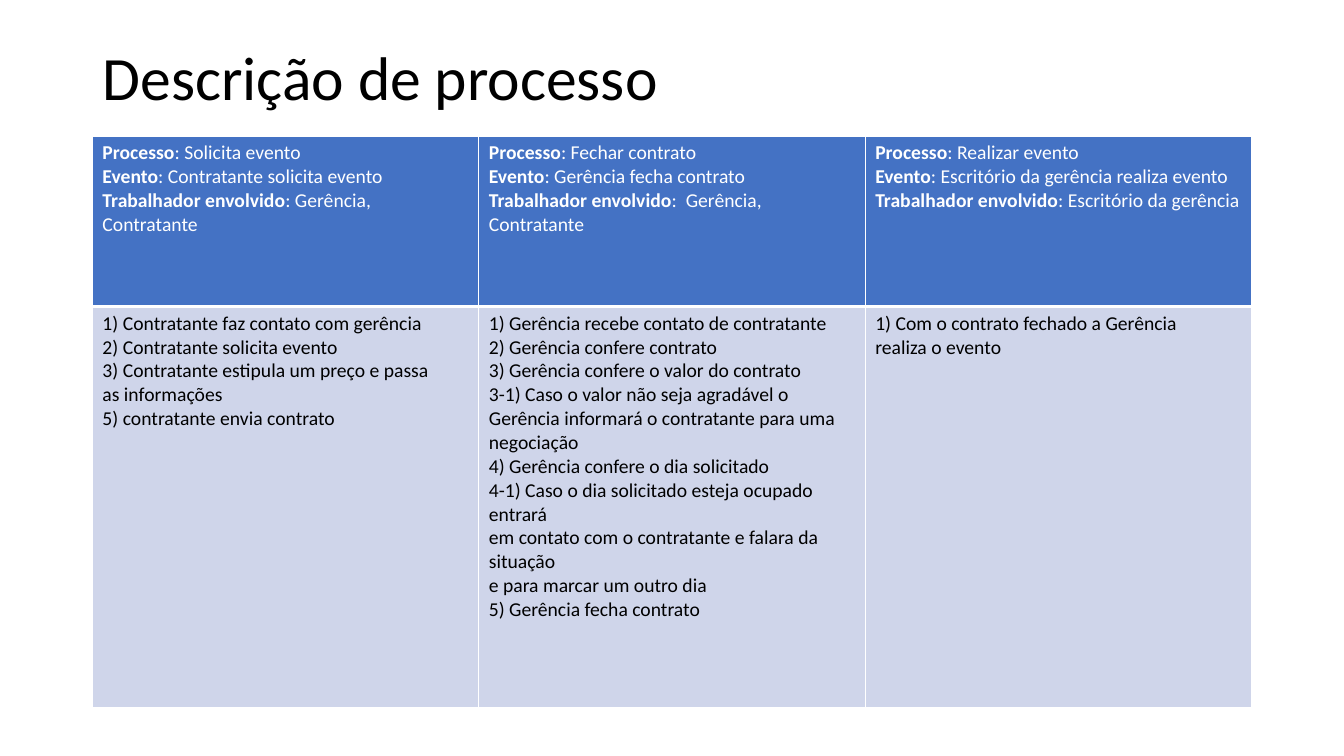
from pptx import Presentation, util as u
from pptx.dml.color import RGBColor
from pptx.enum import text
from pptx.oxml import parse_xml
from pptx.oxml.ns import nsdecls

HUES = {"ink": "000000", "paper": "FFFFFF", "head": "4472C4", "body": "CFD5EA"}
COLS, ROWS = 160, 90
LEFT, WIDE = 11, 138

HEADS = [
    ("Solicita evento", "Contratante solicita evento", "Gerência, Contratante"),
    ("Fechar contrato", "Gerência fecha contrato", "\u00a0Gerência, Contratante"),
    ("Realizar evento", "Escritório da gerência realiza evento",
     "Escritório da gerência"),
]
LABELS = ("Processo", "Evento", "Trabalhador envolvido")
STEPS = [
    ["1) Contratante faz contato com gerência",
     "2) Contratante solicita evento",
     "3) Contratante estipula um preço e passa",
     "as informações",
     "5) contratante envia contrato"],
    ["1) Gerência recebe contato de contratante",
     "2) Gerência confere contrato",
     "3) Gerência confere o valor do contrato",
     "3-1) Caso o valor não seja agradável o Gerência informará "
     "o contratante para uma",
     "negociação",
     "4) Gerência confere o dia solicitado",
     "4-1) Caso o dia solicitado esteja ocupado entrará",
     "em contato com o contratante e falara da situação",
     "e para marcar um outro dia",
     "5) Gerência fecha contrato"],
    ["1) Com o contrato fechado a Gerência",
     "realiza o evento"],
]


class Deck:
    """Holds the style and the current slide."""

    def __init__(self):
        """Open a wide deck with one title-only slide."""
        self.font = "Calibri"
        self.prs = Presentation()
        self.prs.slide_width = u.Inches(13.33)
        self.prs.slide_height = u.Inches(7.5)
        self.slide = self.prs.slides.add_slide(self.prs.slide_layouts[5])

    def across(self, cols):
        """Turn grid columns into a length."""
        return int(self.prs.slide_width * cols / COLS)

    def down(self, rows):
        """Turn grid rows into a length."""
        return int(self.prs.slide_height * rows / ROWS)

    def style(self, run, size, hue, bold=False):
        """Format one run."""
        run.font.name = self.font
        run.font.size = u.Pt(size)
        run.font.bold = bold
        run.font.color.rgb = RGBColor.from_string(HUES[hue])

    def title(self, words, top, high):
        """Place and format the title."""
        box = self.slide.shapes.title
        box.left, box.top = self.across(LEFT), self.down(top)
        box.width, box.height = self.across(WIDE), self.down(high)
        frame = box.text_frame
        frame.text = words
        frame.word_wrap = True
        frame.auto_size = text.MSO_AUTO_SIZE.NONE
        frame.vertical_anchor = text.MSO_ANCHOR.MIDDLE
        para = frame.paragraphs[0]
        para.alignment = text.PP_ALIGN.LEFT
        para.line_spacing = 0.9
        self.style(para.runs[0], 44, "ink")

    def edges(self, cell, **widths):
        """Draw white cell borders, widths in points by side."""
        props = cell._tc.get_or_add_tcPr()
        for side in "LRTB":
            props.append(parse_xml(
                f'<a:ln{side} {nsdecls("a")} w="{u.Pt(widths.get(side, 1))}">'
                f'<a:solidFill><a:srgbClr val="{HUES["paper"]}"/></a:solidFill>'
                f'</a:ln{side}>'))

    def cell(self, cell, lines, fill, hue, **widths):
        """Fill a cell; each line is a pair of bold label and plain text."""
        self.edges(cell, **widths)
        cell.fill.solid()
        cell.fill.fore_color.rgb = RGBColor.from_string(HUES[fill])
        frame = cell.text_frame
        frame.text = "\n".join(label for label, rest in lines)
        for para, (label, rest) in zip(frame.paragraphs, lines):
            for run in para.runs:
                self.style(run, 14, hue, True)
            run = para.add_run()
            run.text = rest
            self.style(run, 14, hue)

    def table(self, heads, steps, top, highs):
        """Add the table: one column per process, heads above steps."""
        grid = self.slide.shapes.add_table(
            len(highs), len(heads), self.across(LEFT), self.down(top),
            self.across(WIDE), self.down(sum(highs))).table
        for row, high in zip(grid.rows, highs):
            row.height = self.down(high)
        for col, (head, step) in enumerate(zip(heads, steps)):
            pairs = [(label, ": " + rest) for label, rest in zip(LABELS, head)]
            self.cell(grid.cell(0, col), pairs, "head", "paper", B=3)
            plain = [("", line) for line in step]
            self.cell(grid.cell(1, col), plain, "body", "ink", T=3)


deck = Deck()
deck.title("Descrição de processo", 4.8, 9.7)
deck.table(HEADS, STEPS, 16.2, (20.3, 47.8))
deck.prs.save("out.pptx")
